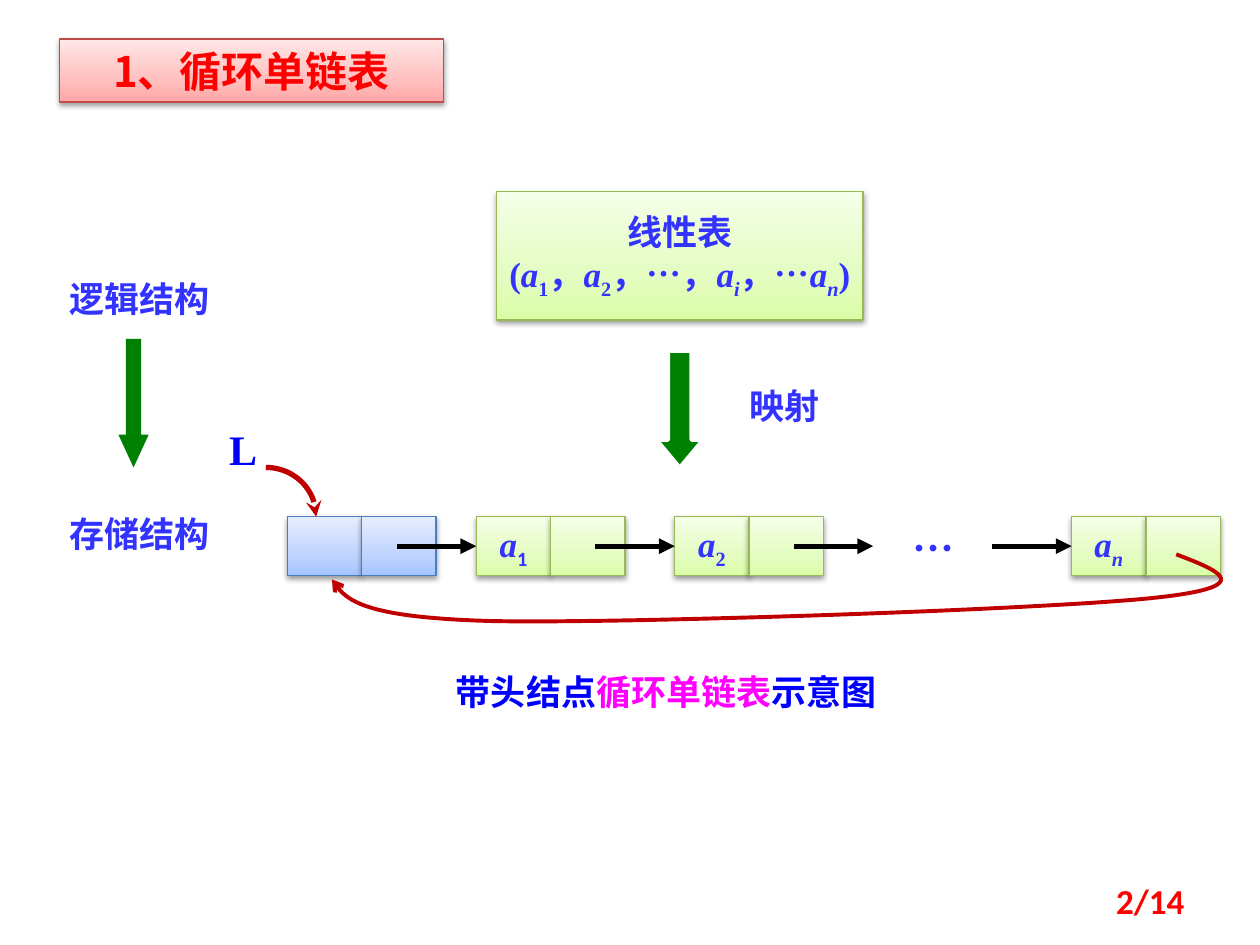
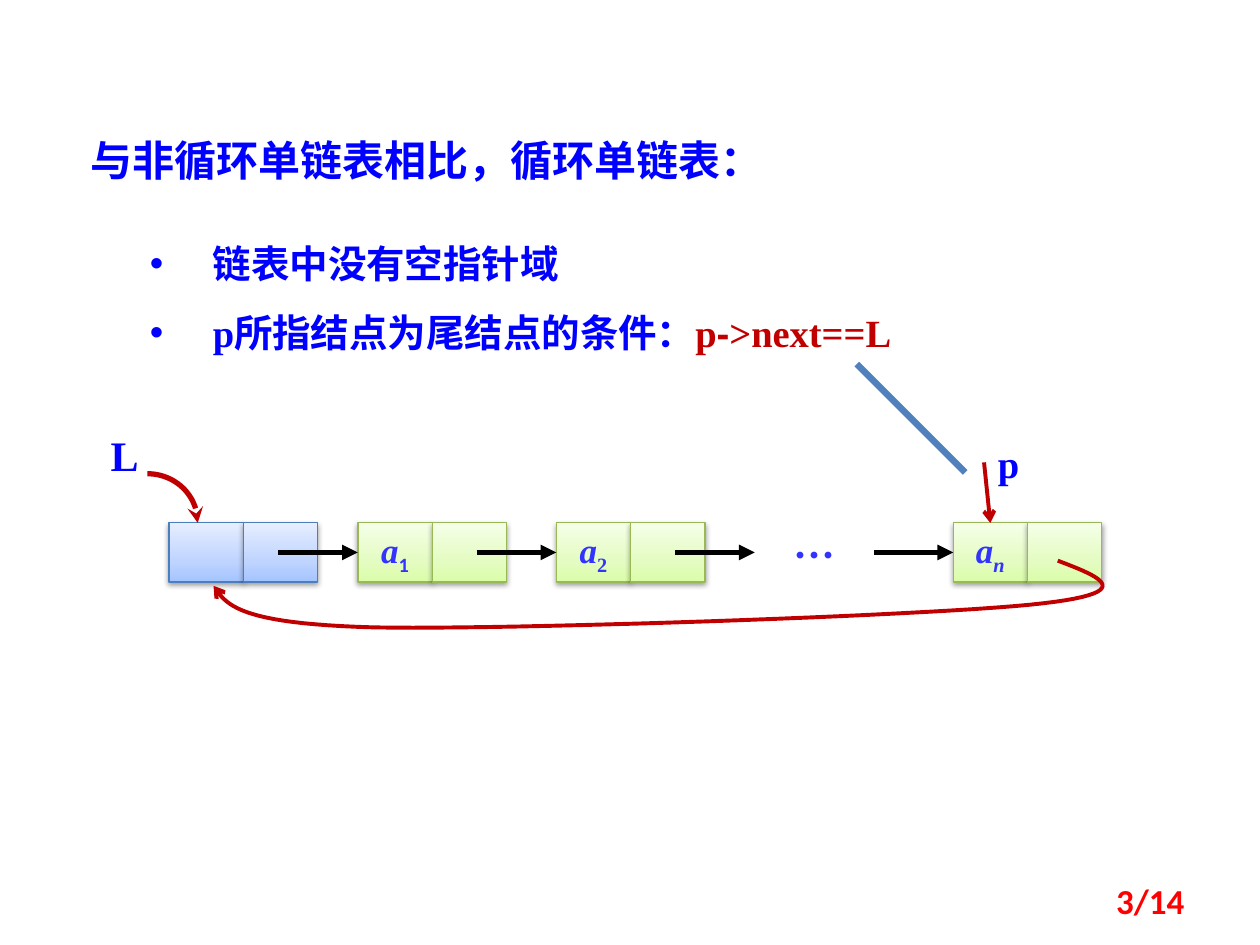
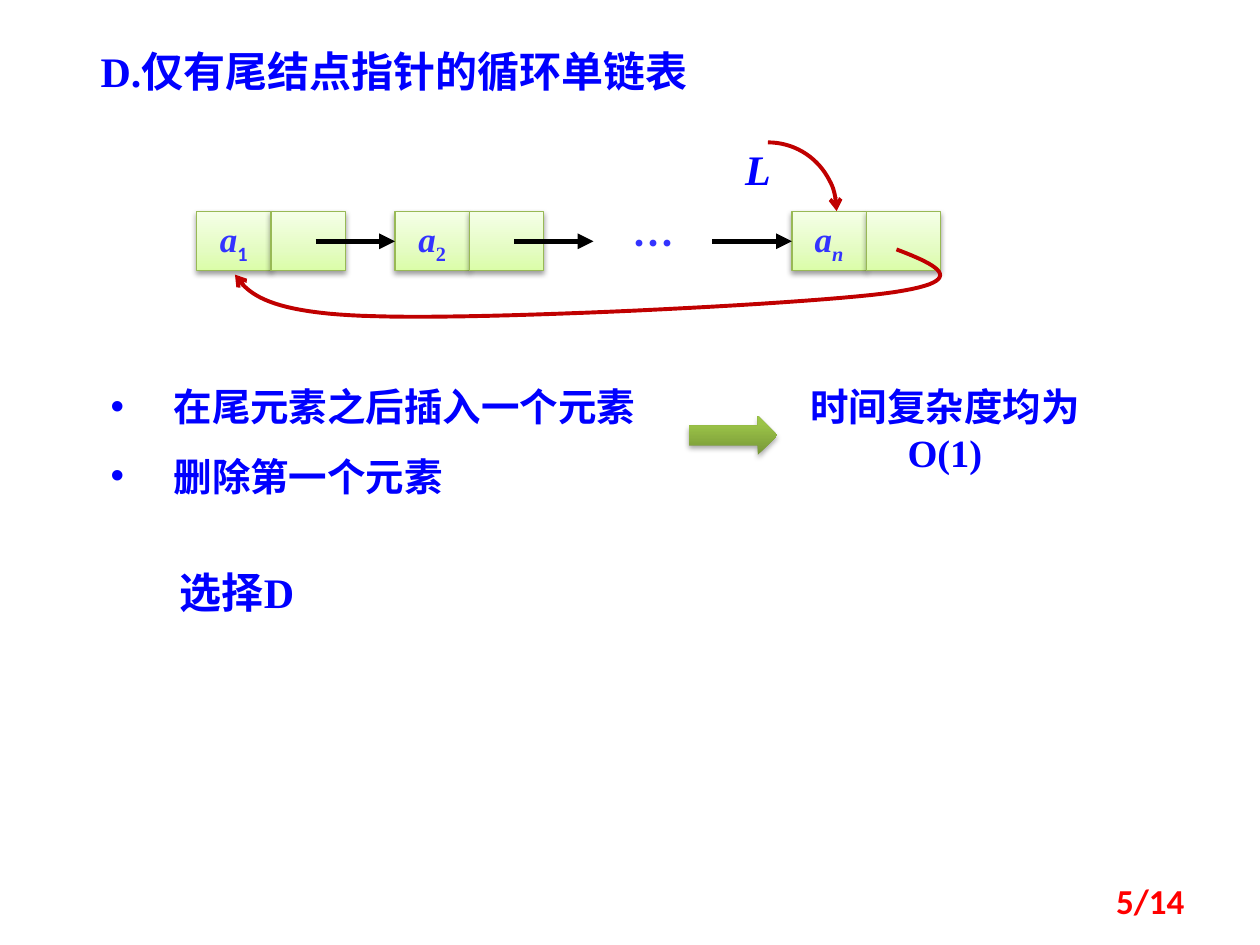
from lxml import etree
from pptx import Presentation
from pptx.dml.color import RGBColor
from pptx.enum.shapes import MSO_CONNECTOR, MSO_SHAPE
from pptx.enum.text import MSO_ANCHOR, PP_ALIGN
from pptx.oxml.ns import qn
from pptx.util import Inches, Pt

RECT, DOWN = MSO_SHAPE.RECTANGLE, MSO_SHAPE.DOWN_ARROW
RIGHT, ARC = MSO_SHAPE.RIGHT_ARROW, MSO_SHAPE.ARC
LINE = MSO_CONNECTOR.STRAIGHT
LEFT, CENTER, END = PP_ALIGN.LEFT, PP_ALIGN.CENTER, PP_ALIGN.RIGHT
MIDDLE, TOP = MSO_ANCHOR.MIDDLE, MSO_ANCHOR.TOP

BLUE = RGBColor(0x00, 0x00, 0xFF)
INDIGO = RGBColor(0x33, 0x33, 0xFF)
STEEL = RGBColor(0x4F, 0x81, 0xBD)
RED = RGBColor(0xFF, 0x00, 0x00)
DARK = RGBColor(0xC0, 0x00, 0x00)
PINK = RGBColor(0xFF, 0x00, 0xFF)
GREEN = RGBColor(0x00, 0x80, 0x00)
BLACK = RGBColor(0x00, 0x00, 0x00)
WHITE = RGBColor(0xFF, 0xFF, 0xFF)
LIME_EDGE = RGBColor(0x98, 0xB9, 0x55)
SKY_EDGE = RGBColor(0x4B, 0x7E, 0xBC)
ROSE_EDGE = RGBColor(0xBF, 0x4C, 0x48)

LIME = ((0, "DAFDA7"), (35, "E4FCC2"), (100, "F5FFE7"))
SKY = ((0, "A4C4FF"), (35, "BFD4FF"), (100, "E6EEFF"))
ROSE = ((0, "FFA6A5"), (35, "FFC0BF"), (100, "FFE7E7"))
OLIVE = ((0, "779737"), (80, "9BC348"), (100, "9DC746"))

HAN, ROMAN, SANS, ARIAL = "Noto Sans CJK SC", "Times New Roman", "Calibri", "Arial"

CELL_W, CELL_H = 0.59, 0.47
STEP, HOP, HEAD_GAP = 1.575, 0.63, 1.5
LONG_LOOP = ((0.83, 0.3), (1.17, 0.43), (1.51, 0.56), (0.61, 0.65), (-0.3, 0.74),
             (-3.52, 0.85), (-4.6, 0.83), (-5.68, 0.8), (-5.77, 0.65), (-5.87, 0.5))
SHORT_LOOP = ((0.83, 0.3), (1.17, 0.43), (1.44, 0.56), (0.73, 0.65), (0.02, 0.74),
              (-2.45, 0.86), (-3.31, 0.83), (-4.16, 0.81), (-4.32, 0.65), (-4.42, 0.5))
HOOK = ((-0.17, -0.39), (0.05, -0.39), (0.23, -0.22), (0.23, 0))


def node(parent, tag, **attrs):
    return etree.SubElement(parent, qn(tag), attrs)


def style(run, size, color, font=ROMAN, marks="b"):
    run.font.size = Pt(size)
    run.font.color.rgb = color
    run.font.name = font
    run.font.bold = "b" in marks
    run.font.italic = "i" in marks
    props = run.font._element
    node(props, "a:ea", typeface=HAN)
    if "s" in marks:
        props.set("baseline", "-25000")


def write(shape, lines, size, color, align=LEFT, font=ROMAN, wrap=True, anchor=TOP, bullet=False):
    frame = shape.text_frame
    frame.word_wrap = wrap
    frame.vertical_anchor = anchor
    for i, line in enumerate(lines):
        para = frame.add_paragraph() if i else frame.paragraphs[0]
        para.alignment = align
        if bullet:
            para.line_spacing = 1.5
            props = para._p.get_or_add_pPr()
            props.set("marL", str(Inches(0.5)))
            props.set("indent", str(-Inches(0.5)))
            node(props, "a:buFont", typeface=ARIAL)
            node(props, "a:buChar", char="•")
        for part in [(line,)] if isinstance(line, str) else line:
            run = para.add_run()
            run.text = part[0]
            look = {"color": color, "font": font}
            look.update(part[1] if len(part) > 1 else {})
            style(run, size, **look)


def label(slide, box, lines, size, color, **look):
    text = slide.shapes.add_textbox(*map(Inches, box))
    write(text, lines, size, color, **look)


def block(slide, kind, box, stops, edge=None, alpha=38):
    shape = slide.shapes.add_shape(kind, *map(Inches, box))
    shape.fill.gradient()
    shape.fill.gradient_angle = 90
    props = shape._element.spPr
    scale = props.find(".//" + qn("a:gsLst"))
    for stop in list(scale):
        scale.remove(stop)
    for pos, color in stops:
        stop = node(scale, "a:gs", pos=str(pos * 1000))
        node(stop, "a:srgbClr", val=color)
    if edge is None:
        shape.line.fill.background()
    else:
        shape.line.color.rgb = edge
        shape.line.width = Pt(0.75)
    shape.shadow.inherit = False
    glow = node(props.find(qn("a:effectLst")), "a:outerShdw", blurRad="40000",
                dist="20000", dir="5400000", rotWithShape="0")
    tint = node(glow, "a:srgbClr", val="000000")
    node(tint, "a:alpha", val=str(alpha * 1000))
    return shape


def stroke(shape, color, width, tip=None):
    shape.line.color.rgb = color
    shape.line.width = Pt(width)
    if tip:
        node(shape.line._get_or_add_ln(), "a:tailEnd", type=tip)


def link(slide, start, end, color, width, tip=None):
    line = slide.shapes.add_connector(LINE, *map(Inches, start + end))
    stroke(line, color, width, tip)
    node(line._element.spPr, "a:effectLst")


def curve(slide, left, top, knots, width, tip):
    spots = []
    for i in range(0, len(knots) - 1, 3):
        a, b, c, d = knots[i:i + 4]
        for j in range(25):
            t = j / 24
            u = 1 - t
            x, y = (u ** 3 * p + 3 * u * u * t * q + 3 * u * t * t * r + t ** 3 * s
                    for p, q, r, s in zip(a, b, c, d))
            spots.append((Inches(left + x), Inches(top + y)))
    pen = slide.shapes.build_freeform(*spots[0])
    pen.add_line_segments(spots[1:], close=False)
    shape = pen.convert_to_shape()
    shape.fill.background()
    shape.shadow.inherit = False
    stroke(shape, DARK, width, tip)


def arrow(slide, box, tip):
    shape = slide.shapes.add_shape(DOWN, *map(Inches, box))
    shape.adjustments[1] = tip
    shape.fill.solid()
    shape.fill.fore_color.rgb = GREEN
    shape.shadow.inherit = False
    shape.line.fill.background()
    return shape


def pair(slide, left, top, stops, edge, sub=None):
    for i in range(2):
        cell = block(slide, RECT, (left + i * CELL_W, top, CELL_W, CELL_H), stops, edge)
        if sub and not i:
            write(cell, [[("a", {"marks": "bi"}), sub]], 20, INDIGO,
                  align=CENTER, wrap=False, anchor=MIDDLE)


def chain(slide, left, top, head=True):
    mid = top + CELL_H / 2
    last = left + 3 * STEP
    hops = [left + 0.945 + i * STEP for i in range(3)]
    if head:
        start = left - HEAD_GAP
        pair(slide, start, top, SKY, SKY_EDGE)
        curve(slide, start, top, HOOK, 3, "stealth")
        label(slide, (start - 0.56, top - 0.79, 0.47, 0.5), ["L"], 24, BLUE)
        hops.insert(0, left - HOP)
    subs = ((left, ("1", {"font": SANS, "marks": "bs"})),
            (left + STEP, ("2", {"marks": "bs"})),
            (last, ("n", {"marks": "bis"})))
    for x, sub in subs:
        pair(slide, x, top, LIME, LIME_EDGE, sub)
    label(slide, (left + 3.31, top, 0.63, 0.5), ["…"], 24, INDIGO, align=CENTER, font=HAN)
    for x in hops:
        link(slide, (x, mid), (x + HOP, mid), BLACK, 3, "triangle")
    curve(slide, last, top, LONG_LOOP if head else SHORT_LOOP, 2.25, "arrow")


def footer(slide, page):
    label(slide, (7.17, 6.95, 2.33, 0.4), [f"{page}/14"], 20, RED,
          align=END, font=SANS, anchor=MIDDLE)


def levels(slide, left, top):
    for text, y in (("逻辑结构", 0), ("存储结构", 1.87)):
        label(slide, (left, top + y, 1.89, 0.44), [text], 20, INDIGO, align=CENTER, font=HAN)
    arrow(slide, (left + 0.78, top + 0.54, 0.24, 1.02), 1.083)


def mapping(slide, left, top):
    it, low, both = {"marks": "bi"}, {"marks": "bs"}, {"marks": "bis"}
    tuple_line = [("(",), ("a", it), ("1", low), ("，",), ("a", it), ("2", low), ("，…，",),
                  ("a", it), ("i", both), ("，…",), ("a", it), ("n", both), (")",)]
    card = block(slide, RECT, (left, top, 2.91, 1.02), LIME, LIME_EDGE)
    write(card, ["线性表", tuple_line], 20, INDIGO, align=CENTER, wrap=False, anchor=MIDDLE)
    down = arrow(slide, (left + 1.26, top + 1.26, 0.39, 0.94), 0.599)
    stroke(down, WHITE, 3)
    label(slide, (left + 1.76, top + 1.48, 1.05, 0.43), ["映射"], 20, INDIGO,
          align=CENTER, font=HAN)


def concept(slide):
    title = block(slide, RECT, (0.47, 0.31, 3.05, 0.5), ROSE, ROSE_EDGE)
    write(title, ["1、循环单链表"], 24, RED, align=CENTER, font=HAN)
    mapping(slide, 3.94, 1.52)
    levels(slide, 0.16, 2.15)
    chain(slide, 3.78, 4.1)
    label(slide, (3.52, 5.27, 3.91, 0.44),
          [[("带头结点",), ("循环单链表", {"color": PINK}), ("示意图",)]], 20, BLUE, font=HAN)


def compare(slide):
    label(slide, (0.62, 1.02, 6.64, 0.5), ["与非循环单链表相比，循环单链表："], 24, BLUE, font=HAN)
    test = [("p所指结点为尾结点的条件：",), ("p", {"color": DARK}),
            ("-", {"color": DARK, "font": ARIAL}), (">next==L", {"color": DARK})]
    label(slide, (1.09, 1.67, 6.95, 1.21), ["链表中没有空指针域", test], 22, BLUE, bullet=True)
    chain(slide, 2.84, 4.15)
    link(slide, (7.81, 3.67), (7.86, 4.15), DARK, 2.25, "arrow")
    label(slide, (7.81, 3.44, 0.39, 0.47), ["p"], 22, BLUE, align=CENTER)
    link(slide, (6.8, 2.89), (7.66, 3.75), STEEL, 3.75)


def answer(slide):
    label(slide, (0.7, 0.31, 5, 0.5), ["D.仅有尾结点指针的循环单链表"], 24, BLUE)
    chain(slide, 1.56, 1.68, head=False)
    bow = slide.shapes.add_shape(ARC, *map(Inches, (5.55, 1.13, 1.09, 1.09)))
    bow.fill.background()
    bow.shadow.inherit = False
    stroke(bow, DARK, 2.25, "arrow")
    label(slide, (5.78, 1.09, 0.47, 0.5), [[("L", {"marks": "bi"})]], 24, BLUE, align=CENTER)
    label(slide, (0.78, 2.81, 4.92, 1.14), ["在尾元素之后插入一个元素", "删除第一个元素"],
          22, BLUE, bullet=True)
    block(slide, RIGHT, (5.47, 3.3, 0.7, 0.31), OLIVE, alpha=35)
    label(slide, (6.32, 2.99, 2.36, 0.84), ["时间复杂度均为O(1)"], 22, BLUE, align=CENTER)
    label(slide, (1.33, 4.45, 1.72, 0.5), ["选择D"], 24, BLUE)


def main():
    deck = Presentation()
    deck.slide_width, deck.slide_height = Inches(10), Inches(7.5)
    for draw, page in ((concept, 2), (compare, 3), (answer, 5)):
        slide = deck.slides.add_slide(deck.slide_layouts[6])
        draw(slide)
        footer(slide, page)
    deck.save("out.pptx")


if __name__ == "__main__":
    main()
